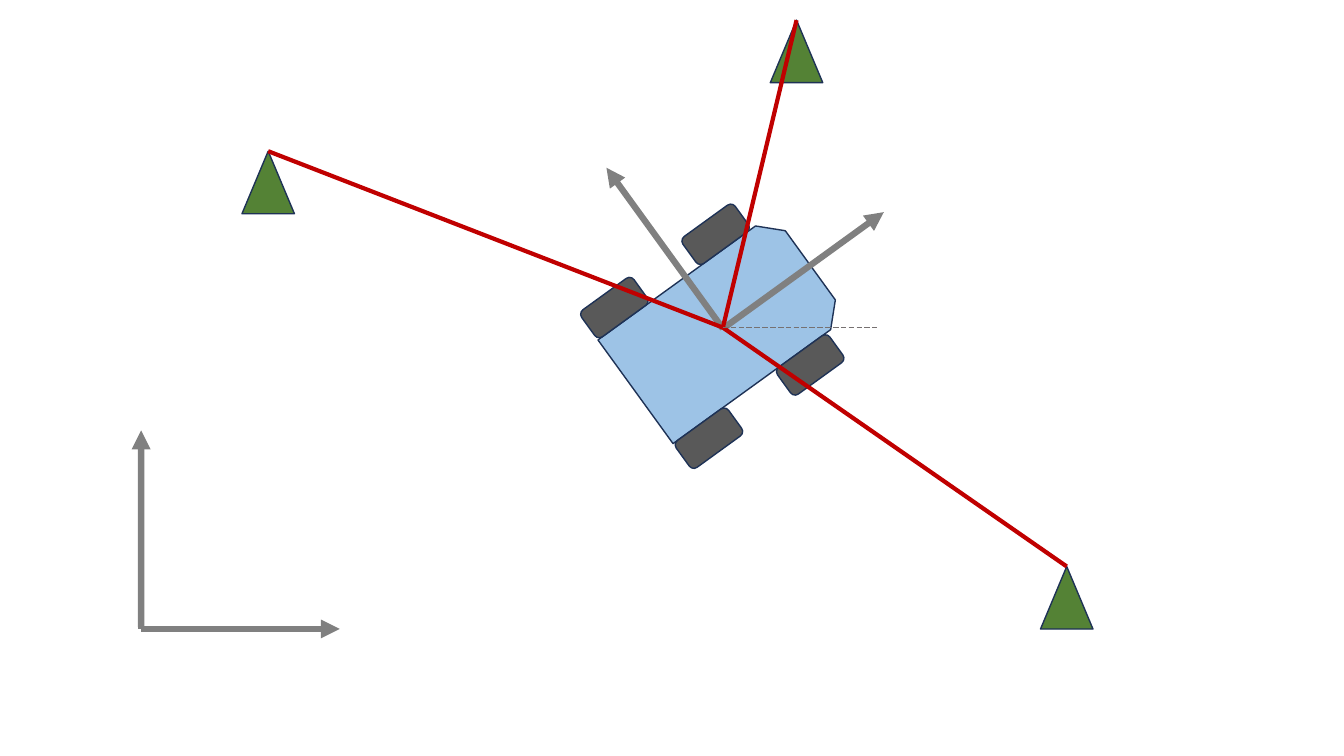
from dataclasses import dataclass
from math import cos, radians, sin

from lxml.etree import SubElement
from pptx import Presentation
from pptx.dml.color import RGBColor
from pptx.enum.dml import MSO_LINE
from pptx.enum.shapes import MSO_CONNECTOR, MSO_SHAPE
from pptx.oxml.ns import qn
from pptx.util import Inches, Pt


@dataclass(frozen=True)
class Theme:
    body: str = "9DC3E6"
    wheel: str = "595959"
    landmark: str = "548235"
    outline: str = "1E3256"
    axis: str = "808080"
    sight: str = "C00000"
    reference: str = "767171"
    outline_width: float = 1
    axis_width: float = 4.5
    sight_width: float = 3
    reference_width: float = 0.5


THEME = Theme()
HEADING = 54.1
AXIS_LENGTH = 1.97
ROBOT_CENTER = (7.17, 3.26)
ROBOT_ORIGIN = (7.17, 3.25)
WORLD_ORIGIN = (1.4, 6.24)
LANDMARK_SIZE = (0.52, 0.62)
LANDMARK_APEXES = [(2.66, 1.5), (7.9, 0.2), (10.58, 5.62)]


def set_line(line, color, width):
    line.color.rgb = RGBColor.from_string(color)
    for name, value in {"width": Pt(width)}.items():
        setattr(line, name, value)


def add_solid(shapes, kind, center, size, color, rotation=0):
    (x, y), (width, height) = center, size
    shape = shapes.add_shape(
        kind, Inches(x - width / 2), Inches(y - height / 2), Inches(width), Inches(height)
    )
    shape.rotation = rotation
    shape.shadow.inherit = False
    shape.fill.solid()
    shape.fill.fore_color.rgb = RGBColor.from_string(color)
    set_line(shape.line, THEME.outline, THEME.outline_width)


def add_line(shapes, start, end, color, width):
    connector = shapes.add_connector(
        MSO_CONNECTOR.STRAIGHT, *(Inches(value) for value in (*start, *end))
    )
    set_line(connector.line, color, width)
    SubElement(connector._element.spPr, qn("a:effectLst"))
    return connector


def rotate(center, forward, side, heading):
    angle = radians(heading)
    return (
        center[0] + forward * sin(angle) + side * cos(angle),
        center[1] - forward * cos(angle) + side * sin(angle),
    )


def add_axes(shapes, origin, heading):
    for forward, side in ((AXIS_LENGTH, 0), (0, -AXIS_LENGTH)):
        end = rotate(origin, forward, side, heading)
        axis = add_line(shapes, origin, end, THEME.axis, THEME.axis_width)
        SubElement(axis.line._get_or_add_ln(), qn("a:tailEnd")).set("type", "triangle")


def add_robot(slide, center, heading):
    shapes = slide.shapes.add_group_shape().shapes
    add_solid(
        shapes, MSO_SHAPE.SNIP_2_SAME_RECTANGLE, center, (1.27, 2.14), THEME.body, heading
    )
    for forward in (0.49, -0.75):
        for side in (-0.8, 0.8):
            wheel_center = rotate(center, forward, side, heading)
            add_solid(
                shapes, MSO_SHAPE.ROUNDED_RECTANGLE, wheel_center, (0.33, 0.64),
                THEME.wheel, heading,
            )
    add_axes(shapes, center, heading)


def add_landmarks(slide, apexes, size):
    for x, y in apexes:
        add_solid(
            slide.shapes, MSO_SHAPE.ISOSCELES_TRIANGLE, (x, y + size[1] / 2), size,
            THEME.landmark,
        )


def add_sight_lines(slide, apexes, origin):
    for apex in apexes:
        add_line(slide.shapes, apex, origin, THEME.sight, THEME.sight_width)


def add_heading_reference(slide, origin, length):
    end = (origin[0] + length, origin[1])
    reference = add_line(
        slide.shapes, origin, end, THEME.reference, THEME.reference_width
    )
    reference.line.dash_style = MSO_LINE.LONG_DASH


def main():
    presentation = Presentation()
    for name, value in {"slide_width": 13.33, "slide_height": 7.5}.items():
        setattr(presentation, name, Inches(value))
    slide = presentation.slides.add_slide(presentation.slide_layouts[6])
    add_robot(slide, ROBOT_CENTER, HEADING)
    add_axes(slide.shapes, WORLD_ORIGIN, 90)
    add_landmarks(slide, LANDMARK_APEXES, LANDMARK_SIZE)
    add_sight_lines(slide, LANDMARK_APEXES, ROBOT_ORIGIN)
    add_heading_reference(slide, ROBOT_ORIGIN, 1.53)
    presentation.save("out.pptx")


if __name__ == "__main__":
    main()
